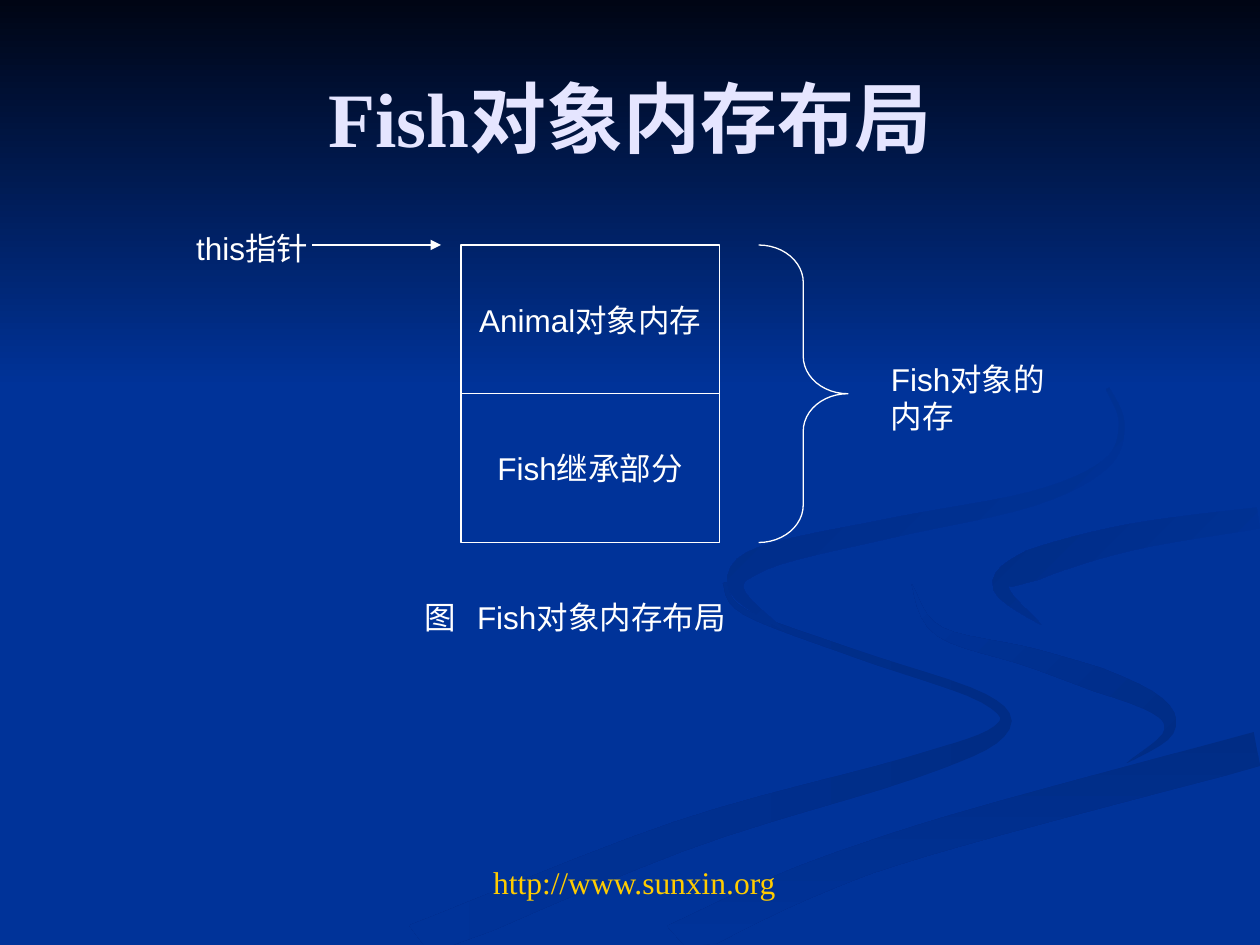
from dataclasses import dataclass
from math import hypot

from lxml.etree import SubElement
from pptx import Presentation
from pptx.dml.color import RGBColor as Rgb
from pptx.enum.shapes import MSO_CONNECTOR as Link, MSO_SHAPE as Kind
from pptx.enum.text import MSO_ANCHOR as Anchor, PP_ALIGN as Align
from pptx.oxml.ns import qn
from pptx.util import Pt


@dataclass(frozen=True)
class Theme:
    night: str = "000514"
    deep: str = "002C85"
    blue: str = "003399"
    white: str = "FFFFFF"
    pale: str = "E5E5FF"
    gold: str = "FFCC00"
    sans: str = "Arial"
    serif: str = "Times New Roman"
    head: int = 44
    body: int = 18
    line: float = 0.75


THEME = Theme()
WIDE, HIGH = 720, 540
BOX_X, BOX_Y, BOX_W, BOX_H = 263.5, 140, 147.5, 85
FADE, RISE = (THEME.deep, THEME.blue), (THEME.blue, THEME.deep)

# Each ribbon: colours, angle, half widths from end to end, middle line.
RIBBONS = [
    (FADE, 180, (1, 3, 11),
     [(414, 333), (426, 350), (490, 374), (562, 399), (571, 418), (520, 439),
      (388, 478), (238, 539)]),
    (FADE, 135, (0, 7, 0),
     [(521, 334), (537, 361), (593, 377), (656, 400), (668, 418), (644, 436)]),
    (FADE, 270, (11, 9, 10),
     [(386, 539), (460, 504), (545, 475), (719, 428)]),
    (RISE, 135, (6, 9, 0),
     [(719, 296), (646, 307), (590, 323), (572, 336), (595, 357)]),
    (RISE, 135, (1, 2, 5, 7, 0),
     [(633, 222), (641, 242), (632, 265), (590, 285), (508, 302), (436, 319),
      (421, 337), (448, 360)]),
]


def place(shape, x, y, w, h):
    shape.left, shape.top, shape.width, shape.height = map(Pt, (x, y, w, h))


def blend(fill, tones, angle, end=1.0):
    """Fill with a two-colour gradient that is complete at end."""
    fill.gradient()
    fill.gradient_angle = angle
    for stop, tone, at in zip(fill.gradient_stops, tones, (0, end)):
        stop.color.rgb = Rgb.from_string(tone)
        stop.position = at


def curve(knots, steps=6):
    """Return points on a Catmull-Rom curve through the knots."""
    ends = [knots[0], *knots, knots[-1]]
    out = []
    for a, b, c, d in zip(ends, ends[1:], ends[2:], ends[3:]):
        for i in range(steps):
            t = i / steps
            out.append(tuple(
                q + (r - p) * t / 2 + (2 * p - 5 * q + 4 * r - s) * t**2 / 2
                + (3 * q - p - 3 * r + s) * t**3 / 2
                for p, q, r, s in zip(a, b, c, d)))
    return out + [knots[-1]]


def edges(knots, halves):
    """Return the outline of a band around the curve, kept on the slide."""
    mid = curve(knots)
    last = len(mid) - 1
    left, right = [], []
    for i, (x, y) in enumerate(mid):
        (ax, ay), (bx, by) = mid[max(i - 1, 0)], mid[min(i + 1, last)]
        spot = i / last * (len(halves) - 1)
        k = min(int(spot), len(halves) - 2)
        half = halves[k] + (halves[k + 1] - halves[k]) * (spot - k)
        size = hypot(bx - ax, by - ay)
        dx, dy = (ay - by) / size * half, (bx - ax) / size * half
        for side, sign in ((left, 1), (right, -1)):
            side.append((min(x + sign * dx, WIDE), min(y + sign * dy, HIGH)))
    return left + right[::-1]


def add_ribbon(slide, tones, angle, halves, knots):
    start, *rest = edges(knots, halves)
    pen = slide.shapes.build_freeform(*map(Pt, start))
    pen.add_line_segments([tuple(map(Pt, spot)) for spot in rest])
    shape = pen.convert_to_shape()
    shape.shadow.inherit = False
    shape.line.fill.background()
    blend(shape.fill, tones, angle)


def write(shape, text, face=THEME.sans, tone=THEME.white, size=THEME.body,
          align=Align.LEFT, bold=False, tab=None):
    frame = shape.text_frame
    frame.text = text
    para = frame.paragraphs[0]
    para.alignment = align
    if tab:
        stops = SubElement(para._p.get_or_add_pPr(), qn("a:tabLst"))
        SubElement(stops, qn("a:tab"), pos=str(Pt(tab)), algn="l")
    para.font.name, para.font.size, para.font.bold = face, Pt(size), bold
    para.font.color.rgb = Rgb.from_string(tone)
    return frame


def add_title(slide, text):
    title = slide.shapes.title
    place(title, 36, 21.6, 648, 90)
    frame = write(title, text, THEME.serif, THEME.pale, THEME.head,
                  Align.CENTER, True)
    frame.vertical_anchor = Anchor.MIDDLE


def add_label(slide, text, x, y, w, h=29, **style):
    box = slide.shapes.add_textbox(*map(Pt, (x, y, w, h)))
    write(box, text, **style).word_wrap = True


def ink(line):
    line.color.rgb = Rgb.from_string(THEME.white)
    line.width = Pt(THEME.line)


def add_outline(slide, kind, x, y, w, h):
    shape = slide.shapes.add_shape(kind, *map(Pt, (x, y, w, h)))
    shape.shadow.inherit = False
    shape.fill.background()
    ink(shape.line)
    return shape


def add_cell(slide, text, row):
    cell = add_outline(slide, Kind.RECTANGLE, BOX_X, BOX_Y + row * BOX_H,
                       BOX_W, BOX_H)
    frame = write(cell, text, align=Align.CENTER)
    frame.vertical_anchor = Anchor.MIDDLE
    frame.word_wrap = False


def add_arrow(slide, x, y, end):
    arrow = slide.shapes.add_connector(
        Link.STRAIGHT, Pt(x), Pt(y), Pt(end), Pt(y))
    ink(arrow.line)
    SubElement(arrow.line._get_or_add_ln(), qn("a:tailEnd"), type="triangle")
    SubElement(arrow._element.spPr, qn("a:effectLst"))


def main():
    deck = Presentation()
    deck.slide_width, deck.slide_height = Pt(WIDE), Pt(HIGH)
    slide = deck.slides.add_slide(deck.slide_layouts[5])
    blend(slide.background.fill, (THEME.night, THEME.blue), 270, 0.41)
    for ribbon in RIBBONS:
        add_ribbon(slide, *ribbon)

    add_title(slide, "Fish对象内存布局")
    for row, text in enumerate(("Animal对象内存", "Fish继承部分")):
        add_cell(slide, text, row)
    add_arrow(slide, 178.5, BOX_Y, 252)
    add_label(slide, "this指针", 105, 127.5, 79, 50.5)
    brace = add_outline(slide, Kind.RIGHT_BRACE, 433.5, BOX_Y, 51, 2 * BOX_H)
    brace.adjustments[0] = 0.42
    add_label(slide, "Fish对象的内存", 502, 202, 119, 50.5)
    add_label(slide, "图\tFish对象内存布局", 235.5, 338, 209.5, tab=30)
    add_label(slide, "http://www.sunxin.org", 127.5, 489.5, 470,
              face=THEME.serif, tone=THEME.gold, align=Align.CENTER)
    deck.save("out.pptx")


if __name__ == "__main__":
    main()
